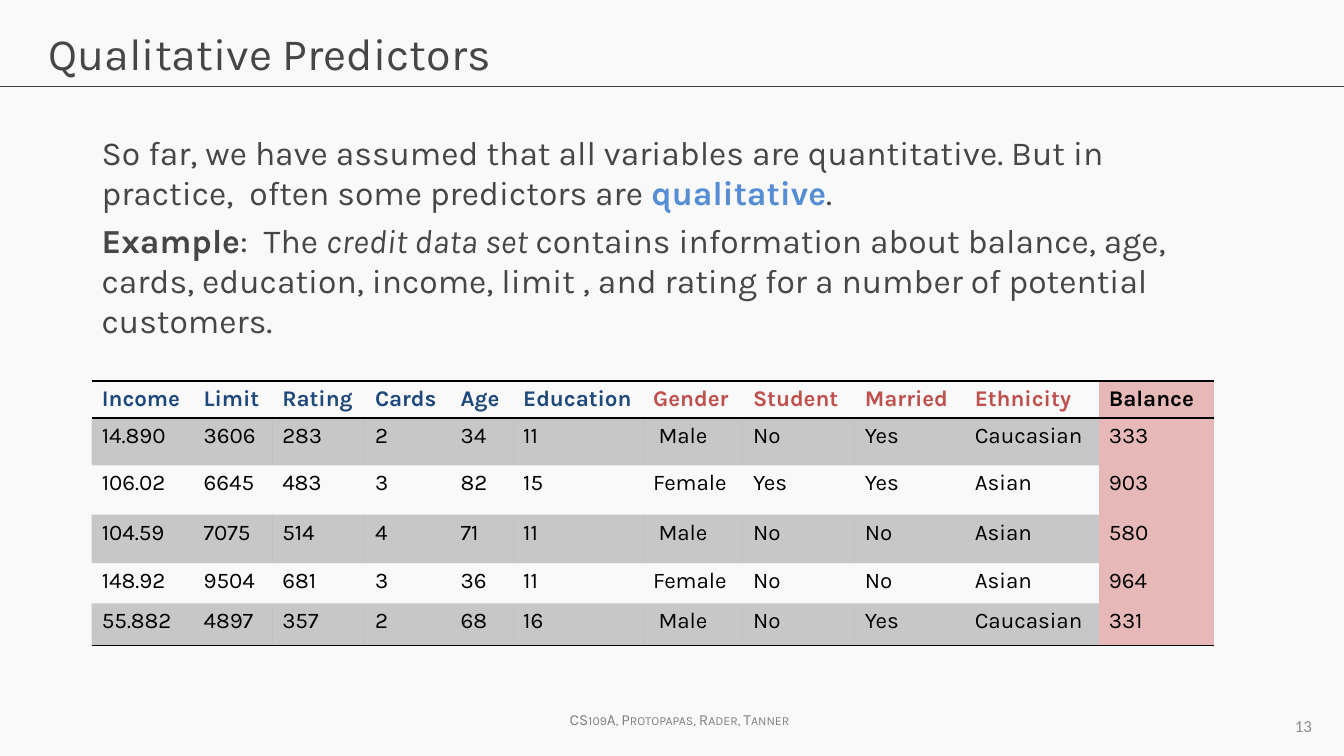
from dataclasses import dataclass

from lxml import etree
from pptx import Presentation
from pptx.dml.color import RGBColor
from pptx.enum.shapes import MSO_CONNECTOR
from pptx.enum.text import MSO_ANCHOR, PP_ALIGN
from pptx.oxml.ns import qn
from pptx.util import Inches, Pt

LEFT, CENTER, RIGHT = PP_ALIGN.LEFT, PP_ALIGN.CENTER, PP_ALIGN.RIGHT
TOP, MIDDLE = MSO_ANCHOR.TOP, MSO_ANCHOR.MIDDLE
STRAIGHT = MSO_CONNECTOR.STRAIGHT

PAPER = RGBColor(0xF9, 0xF9, 0xF9)
TEXT = RGBColor(0x46, 0x46, 0x46)
RULE = RGBColor(0x40, 0x40, 0x40)
FOOTER = RGBColor(0x80, 0x80, 0x80)
NUMBER = RGBColor(0x8C, 0x8C, 0x8C)
HIGHLIGHT = RGBColor(0x55, 0x8E, 0xD5)
NAVY = RGBColor(0x1F, 0x49, 0x7D)
RED = RGBColor(0xC0, 0x50, 0x4D)
BLACK = RGBColor(0, 0, 0)
PINK = RGBColor(0xE6, 0xB9, 0xB8)

NO_STYLE = "{2D5ABB26-0587-4C30-8999-92F81FD0307C}"
BAND_ALPHA = 20


@dataclass
class Column:
    name: str
    width: float
    color: RGBColor
    values: list[str]


COLUMNS = [
    Column("Income", 1.01, NAVY, ["14.890", "106.02", "104.59", "148.92", "55.882"]),
    Column("Limit", 0.78, NAVY, ["3606", "6645", "7075", "9504", "4897"]),
    Column("Rating", 0.92, NAVY, ["283", "483", "514", "681", "357"]),
    Column("Cards", 0.85, NAVY, ["2", "3", "4", "3", "2"]),
    Column("Age", 0.62, NAVY, ["34", "82", "71", "36", "68"]),
    Column("Education", 1.29, NAVY, ["11", "15", "11", "11", "16"]),
    Column("Gender", 0.99, RED, [" Male", "Female", " Male", "Female", " Male"]),
    Column("Student", 1.11, RED, ["No", "Yes", "No", "No", "No"]),
    Column("Married", 1.09, RED, ["Yes", "Yes", "No", "No", "Yes"]),
    Column("Ethnicity", 1.33, RED, ["Caucasian", "Asian", "Asian", "Asian", "Caucasian"]),
    Column("Balance", 1.14, BLACK, ["333", "903", "580", "964", "331"]),
]
ROW_HEIGHTS = [0.36, 0.47, 0.49, 0.48, 0.4, 0.42]


def add_run(p, text: str, *, size: float, color: RGBColor = TEXT, font: str = "Karla",
            bold: bool = False, italic: bool = False, small_caps: bool = False) -> None:
    r = p.add_run()
    r.text = text
    f = r.font
    f.size, f.name, f.bold, f.italic = Pt(size), font, bold, italic
    f.color.rgb = color
    if small_caps:
        r.font._element.set("cap", "small")


def add_box(s, x: float, y: float, w: float, h: float, *, align: PP_ALIGN = LEFT,
            anchor: MSO_ANCHOR = TOP, wrap: bool = True):
    """Add an empty text box and return its text frame."""
    tf = s.shapes.add_textbox(Inches(x), Inches(y), Inches(w), Inches(h)).text_frame
    tf.word_wrap, tf.vertical_anchor = wrap, anchor
    tf.paragraphs[0].alignment = align
    return tf


def add_border(cell, side: str) -> None:
    tc_pr = cell._tc.get_or_add_tcPr()
    ln = etree.SubElement(tc_pr, qn(f"a:ln{side}"), w=str(Pt(1)))
    fill = etree.SubElement(ln, qn("a:solidFill"))
    etree.SubElement(fill, qn("a:srgbClr"), val=str(BLACK))


def fill_cell(cell, color: RGBColor, alpha: int = 100) -> None:
    cell.fill.solid()
    cell.fill.fore_color.rgb = color
    if alpha < 100:
        clr = cell._tc.tcPr.find(qn("a:solidFill")).find(qn("a:srgbClr"))
        etree.SubElement(clr, qn("a:alpha"), val=str(alpha * 1000))


def add_credit_table(s) -> None:
    width = sum(c.width for c in COLUMNS)
    frame = s.shapes.add_table(len(ROW_HEIGHTS), len(COLUMNS), Inches(0.91), Inches(3.78),
                               Inches(width), Inches(sum(ROW_HEIGHTS)))
    table = frame.table
    table.first_row = table.horz_banding = False
    table._tbl.tblPr.find(qn("a:tableStyleId")).text = NO_STYLE
    for row, height in zip(table.rows, ROW_HEIGHTS):
        row.height = Inches(height)
    last_row = len(ROW_HEIGHTS) - 1
    for j, column in enumerate(COLUMNS):
        table.columns[j].width = Inches(column.width)
        for i, text in enumerate([column.name, *column.values]):
            cell = table.cell(i, j)
            header = i == 0
            cell.vertical_anchor = MIDDLE if header else TOP
            add_run(cell.text_frame.paragraphs[0], text, size=16, bold=header,
                    color=column.color if header else BLACK)
            if header:
                add_border(cell, "T")
            if i in (0, last_row):
                add_border(cell, "B")
            if column.name == "Balance":
                fill_cell(cell, PINK)
            elif i % 2:
                fill_cell(cell, BLACK, BAND_ALPHA)
            else:
                cell.fill.background()


def add_header_rule(s) -> None:
    line = s.shapes.add_connector(STRAIGHT, 0, Inches(0.86), Inches(13.33), Inches(0.86))
    line.line.color.rgb = RULE
    line.line.width = Pt(0.75)
    etree.SubElement(line._element.spPr, qn("a:effectLst"))


def add_body(s) -> None:
    tf = add_box(s, 0.91, 1.26, 11.29, 2.31)
    p = tf.paragraphs[0]
    add_run(p, "So far, we have assumed that all variables are quantitative. "
               "But in practice,  often some predictors are ", size=24)
    add_run(p, "qualitative", size=24, color=HIGHLIGHT, bold=True)
    add_run(p, ".", size=24)
    p = tf.add_paragraph()
    p.space_before = Pt(5)
    add_run(p, "Example", size=24, bold=True)
    add_run(p, ":  The ", size=24)
    add_run(p, "credit data set", size=24, italic=True)
    add_run(p, " contains information about balance, age, cards, education, income, "
               "limit , and rating for a number of potential customers.", size=24)


def main() -> None:
    prs = Presentation()
    prs.slide_width, prs.slide_height = Inches(13.33), Inches(7.5)
    s = prs.slides.add_slide(prs.slide_layouts[6])
    s.background.fill.solid()
    s.background.fill.fore_color.rgb = PAPER

    add_header_rule(s)
    tf = add_box(s, 5.49, 7, 2.5, 0.29, align=CENTER, wrap=False)
    add_run(tf.paragraphs[0], "CS109A, Protopapas, Rader, Tanner", size=11,
            color=FOOTER, small_caps=True)
    tf = add_box(s, 0.38, 0.21, 12.57, 0.84)
    add_run(tf.paragraphs[0], "Qualitative Predictors", size=32)
    add_body(s)
    tf = add_box(s, 10, 7, 3.11, 0.4, align=RIGHT, anchor=MIDDLE)
    add_run(tf.paragraphs[0], "13", size=12, color=NUMBER, font="Calibri")
    add_credit_table(s)

    prs.save("out.pptx")


if __name__ == "__main__":
    main()
